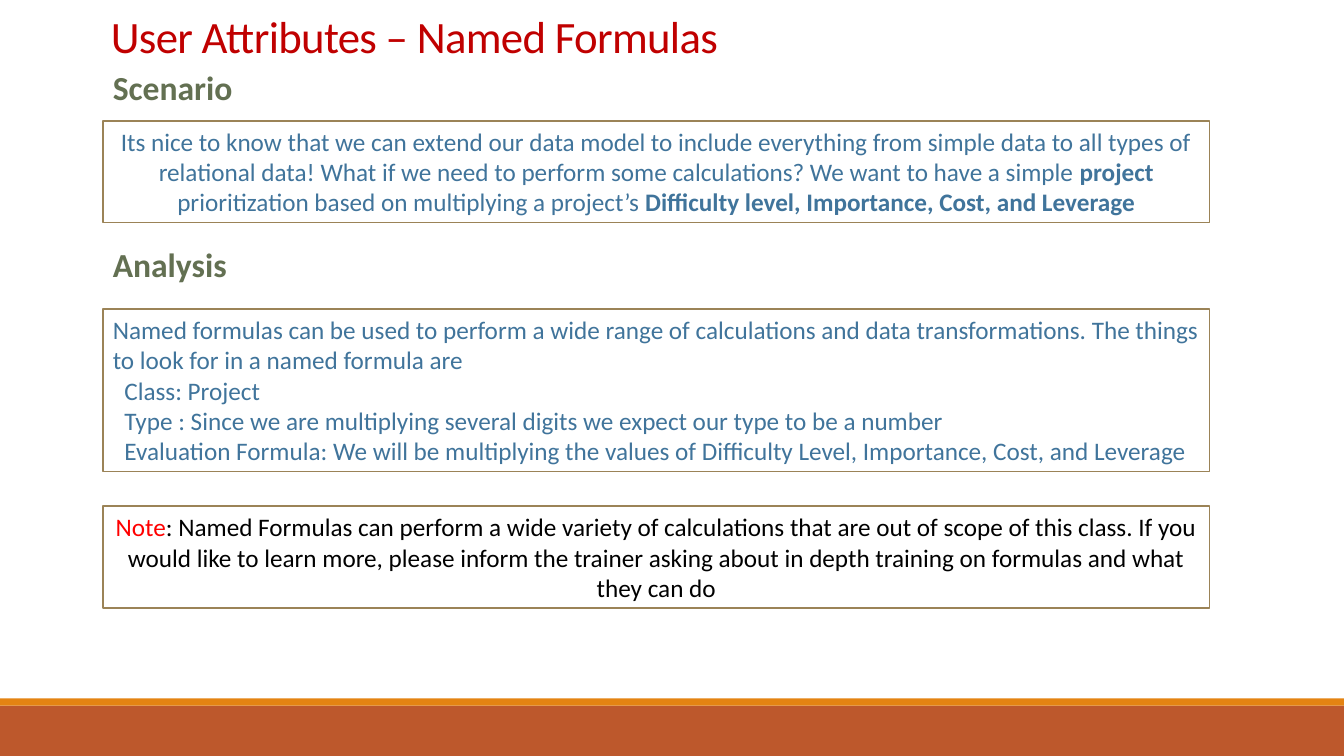
from pptx import Presentation
from pptx.dml.color import RGBColor
from pptx.enum.shapes import MSO_SHAPE
from pptx.enum.text import MSO_ANCHOR, MSO_AUTO_SIZE, PP_ALIGN
from pptx.util import Emu, Pt

EMU_PER_PX = 9525
FONT = "Calibri"
RED, OLIVE, BLUE, TAN = "C00000", "637052", "40749B", "9B8357"


def px(length):
    return Emu(length * EMU_PER_PX)


def color(value):
    return RGBColor.from_string(value)


class SlideBuilder:
    """Holds the shared style and adds each kind of element to one page."""

    left, width = 98, 1054

    def __init__(self, page):
        self.page = page

    def style(self, para, size, hue, bold=False, align=PP_ALIGN.LEFT):
        para.alignment = align
        font = para.font
        font.name, font.size, font.bold = FONT, Pt(size), bold
        font.color.rgb = color(hue)

    def title(self, text):
        title = self.page.shapes.title
        title.left, title.top, title.width, title.height = px(96), px(11), px(832), px(96)
        frame = title.text_frame
        frame.auto_size = MSO_AUTO_SIZE.NONE
        frame.vertical_anchor = MSO_ANCHOR.TOP
        para = frame.paragraphs[0]
        para.line_spacing = 0.85
        span = para.add_run()
        span.text = text
        span._r.get_or_add_rPr().set("spc", "-50")
        self.style(para, 32, RED)

    def heading(self, text, top):
        box = self.page.shapes.add_textbox(px(self.left), px(top), px(134), px(48))
        box.text_frame.word_wrap = False
        para = box.text_frame.paragraphs[0]
        para.text = text
        self.style(para, 24, OLIVE, bold=True)

    def rectangle(self, left, top, width, height, fill, line=None):
        shape = self.page.shapes.add_shape(
            MSO_SHAPE.RECTANGLE, px(left), px(top), px(width), px(height))
        shape.shadow.inherit = False
        shape.fill.solid()
        shape.fill.fore_color.rgb = color(fill)
        if line:
            shape.line.color.rgb = color(line)
            shape.line.width = Pt(1.25)
        else:
            shape.line.fill.background()
        return shape

    def panel(self, top, height, paragraphs, hue=BLUE, align=PP_ALIGN.LEFT):
        box = self.rectangle(self.left, top, self.width, height, "FFFFFF", TAN)
        frame = box.text_frame
        frame.word_wrap = True
        frame.vertical_anchor = MSO_ANCHOR.MIDDLE
        for index, (indent, spans) in enumerate(paragraphs):
            para = frame.add_paragraph() if index else frame.paragraphs[0]
            para._p.get_or_add_pPr().set("marL", str(px(indent)))
            for text, bold, accent in spans:
                span = para.add_run()
                span.text = text
                if bold:
                    span.font.bold = True
                if accent:
                    span.font.color.rgb = color(accent)
            self.style(para, 18, hue, align=align)


def plain(text):
    return (text, False, None)


def strong(text):
    return (text, True, None)


def main():
    deck = Presentation()
    deck.slide_width, deck.slide_height = px(1280), px(720)
    slide = SlideBuilder(deck.slides.add_slide(deck.slide_layouts[5]))

    slide.rectangle(0, 672, 1280, 48, "BD582C")
    slide.rectangle(0, 665, 1280, 7, "E48312")
    slide.title("User Attributes – Named Formulas")

    slide.heading("Scenario", 59)
    slide.panel(115, 97, [(0, [
        plain("Its nice to know that we can extend our data model to include everything "
              "from simple data to all types of relational data! What if we need to "
              "perform some calculations? We want to have a simple "),
        strong("project"),
        plain(" prioritization based on multiplying a project’s "),
        strong("Difficulty level, Importance, Cost, and Leverage"),
    ])], align=PP_ALIGN.CENTER)

    slide.heading("Analysis", 228)
    criteria = [
        "Class: Project",
        "Type : Since we are multiplying several digits we expect our type to be a number",
        "Evaluation Formula: We will be multiplying the values of Difficulty Level, "
        "Importance, Cost, and Leverage",
    ]
    introduction = plain(
        "Named formulas can be used to perform a wide range of calculations and data "
        "transformations. The things to look for in a named formula are")
    slide.panel(294, 155, [(0, [introduction])] + [(11, [plain(text)]) for text in criteria])

    slide.panel(482, 97, [(0, [
        ("Note", False, "FF0000"),
        plain(": Named Formulas can perform a wide variety of calculations that are out of "
              "scope of this class. If you would like to learn more, please inform the "
              "trainer asking about in depth training on formulas and what they can do"),
    ])], hue="000000", align=PP_ALIGN.CENTER)

    deck.save("out.pptx")


if __name__ == "__main__":
    main()
